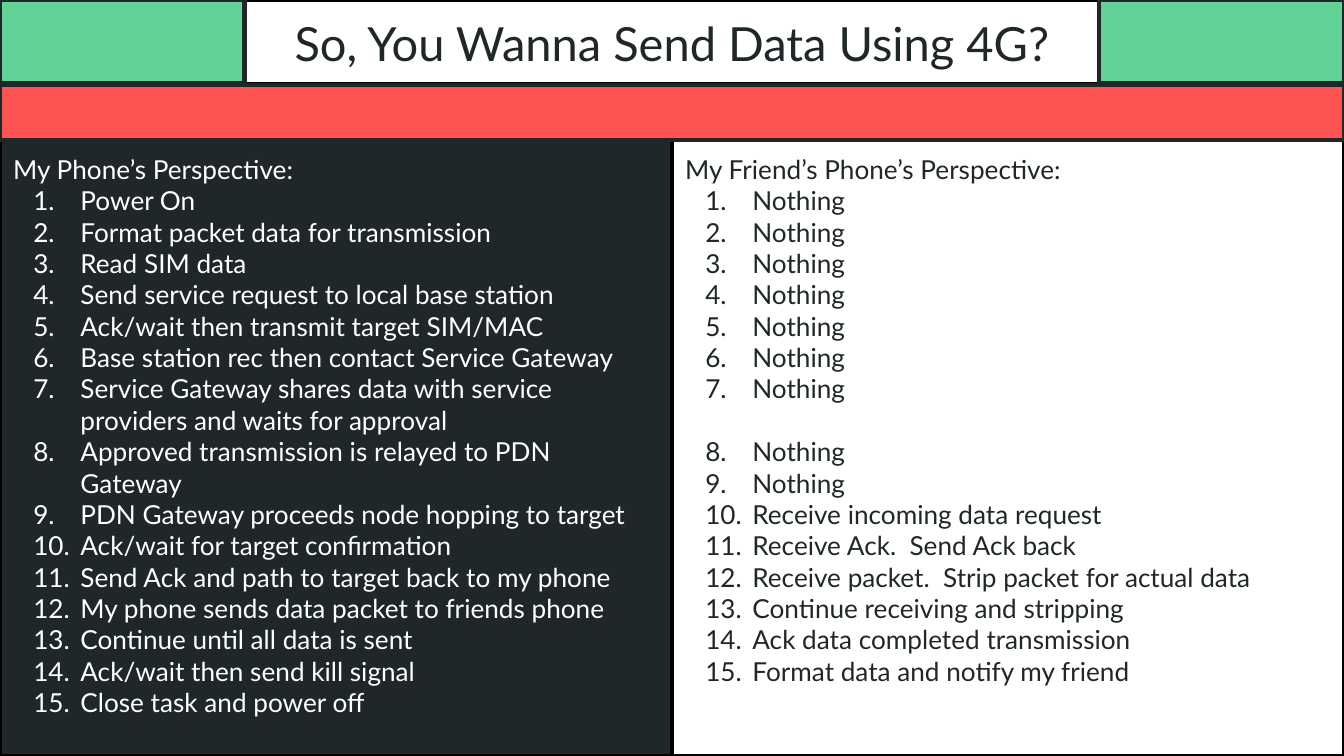
from lxml import etree
from pptx import Presentation
from pptx import util as u
from pptx.dml.color import RGBColor
from pptx.enum import shapes, text
from pptx.oxml import ns

COLORS = {
    "dark": "202729",
    "black": "000000",
    "white": "FFFFFF",
    "green": "63D297",
    "red": "FF5252",
}
FONT = "Lato"
SLIDE_W = 10
SLIDE_H = SLIDE_W * 9 / 16
TITLE_W, TITLE_H = 6.36, 0.63
CORNER_W, CORNER_H = (SLIDE_W - TITLE_W) / 2, 0.62
PANEL_TOP, PANEL_W = 1.04, SLIDE_W / 2
PANEL_H = SLIDE_H - PANEL_TOP
LIST_SIZE = 14
SKIPPED_LINE = 16.8  # one line of list text, in points

MY_STEPS = [
    "Power On",
    "Format packet data for transmission",
    "Read SIM data",
    "Send service request to local base station",
    "Ack/wait then transmit target SIM/MAC",
    "Base station rec then contact Service Gateway",
    "Service Gateway shares data with service providers and waits for approval",
    "Approved transmission is relayed to PDN Gateway",
    "PDN Gateway proceeds node hopping to target",
    "Ack/wait for target confirmation",
    "Send Ack and path to target back to my phone",
    "My phone sends data packet to friends phone",
    "Continue until all data is sent",
    "Ack/wait then send kill signal",
    "Close task and power off",
]
FRIEND_STEPS = ["Nothing"] * 9 + [
    "Receive incoming data request",
    "Receive Ack.  Send Ack back",
    "Receive packet.  Strip packet for actual data",
    "Continue receiving and stripping",
    "Ack data completed transmission",
    "Format data and notify my friend",
]


def rgb(color):
    return RGBColor.from_string(COLORS[color])


def add_block(slide, left, top, width, height, fill, line):
    block = slide.shapes.add_shape(
        shapes.MSO_SHAPE.RECTANGLE,
        u.Inches(left), u.Inches(top), u.Inches(width), u.Inches(height))
    block.shadow.inherit = False
    if fill:
        block.fill.solid()
        block.fill.fore_color.rgb = rgb(fill)
    else:
        block.fill.background()
    block.line.color.rgb = rgb(line)
    block.line.width = u.Pt(2.25)
    return block


def prepare_text(block, anchor):
    """Set wrapping, anchor and equal insets, and return the text frame."""
    frame = block.text_frame
    frame.word_wrap = True
    frame.vertical_anchor = anchor
    frame.margin_left = frame.margin_right = u.Inches(0.1)
    frame.margin_top = frame.margin_bottom = u.Inches(0.1)
    return frame


def write(paragraph, words, size, color, align=text.PP_ALIGN.LEFT):
    paragraph.alignment = align
    run = paragraph.add_run()
    run.text = words
    run.font.name = FONT
    run.font.size = u.Pt(size)
    run.font.color.rgb = rgb(color)


def number(paragraph, color):
    """Turn a paragraph into an item of an automatically numbered list."""
    props = paragraph._p.get_or_add_pPr()
    props.set("marL", str(u.Inches(0.5)))
    props.set("indent", str(u.Inches(-0.35)))
    bullet_color = etree.SubElement(props, ns.qn("a:buClr"))
    etree.SubElement(bullet_color, ns.qn("a:srgbClr"), val=COLORS[color])
    etree.SubElement(props, ns.qn("a:buSzPts"), val=str(LIST_SIZE * 100))
    etree.SubElement(props, ns.qn("a:buFont"), typeface=FONT)
    etree.SubElement(props, ns.qn("a:buAutoNum"), type="arabicPeriod")


def add_title(slide, words):
    title = add_block(slide, CORNER_W, 0, TITLE_W, TITLE_H, None, "black")
    frame = prepare_text(title, text.MSO_ANCHOR.MIDDLE)
    write(frame.paragraphs[0], words, 25.2, "dark", text.PP_ALIGN.CENTER)


def add_panel(slide, left, fill, color, heading, steps, gap_after=None):
    """Add a heading with numbered steps; gap_after is a step followed by a skipped line."""
    panel = add_block(slide, left, PANEL_TOP, PANEL_W, PANEL_H, fill, "black")
    frame = prepare_text(panel, text.MSO_ANCHOR.TOP)
    write(frame.paragraphs[0], heading, LIST_SIZE, color)
    for position, step in enumerate(steps, start=1):
        item = frame.add_paragraph()
        if position == gap_after:
            item.space_after = u.Pt(SKIPPED_LINE)
        number(item, color)
        write(item, step, LIST_SIZE, color)


def main():
    deck = Presentation()
    deck.slide_width, deck.slide_height = u.Inches(SLIDE_W), u.Inches(SLIDE_H)
    slide = deck.slides.add_slide(deck.slide_layouts[6])

    add_title(slide, "So, You Wanna Send Data Using 4G?")
    for left in (0, SLIDE_W - CORNER_W):
        add_block(slide, left, 0, CORNER_W, CORNER_H, "green", "dark")
    add_panel(slide, 0, "dark", "white", "My Phone’s Perspective:", MY_STEPS)
    add_panel(slide, PANEL_W, "white", "dark", "My Friend’s Phone’s Perspective:",
              FRIEND_STEPS, gap_after=7)
    add_block(slide, 0, TITLE_H, SLIDE_W, PANEL_TOP - TITLE_H, "red", "dark")

    deck.save("out.pptx")


if __name__ == "__main__":
    main()
